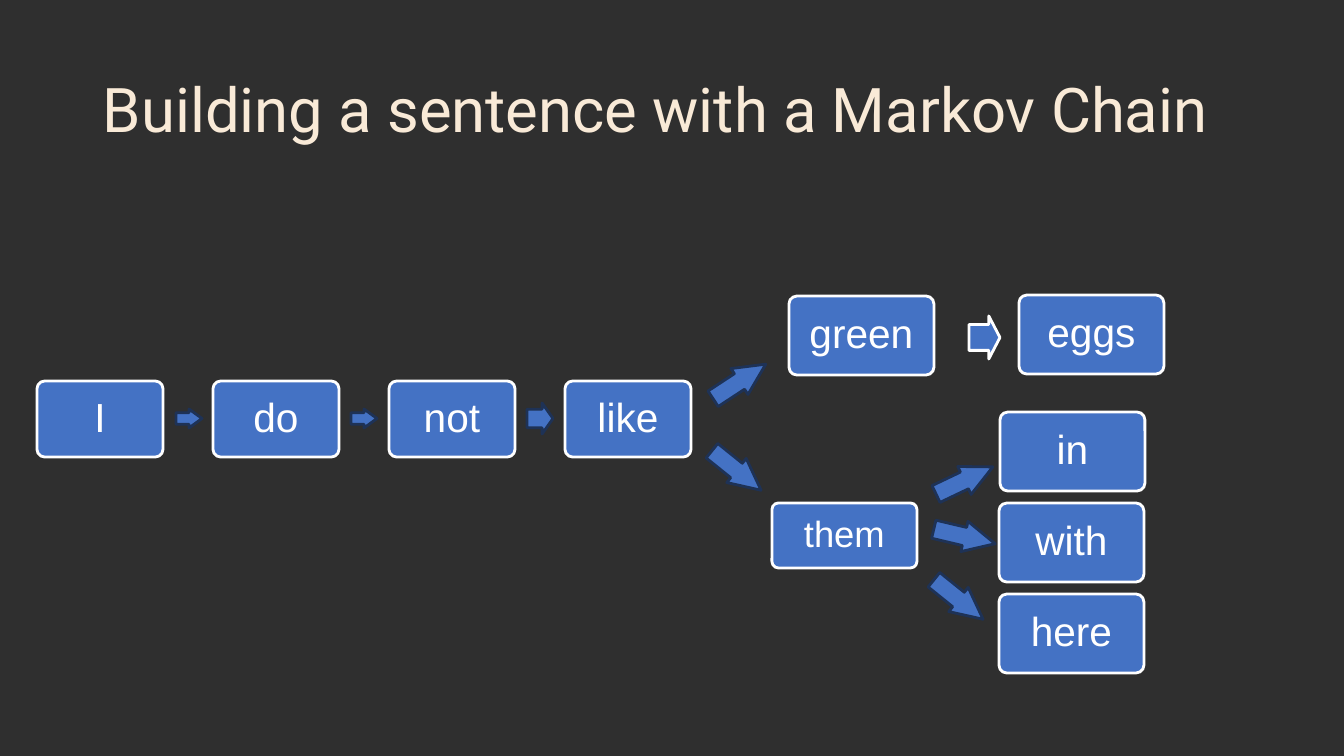
"""Build a slide showing a sentence growing word by word as a Markov chain."""
from pptx import Presentation
from pptx.dml.color import RGBColor
from pptx.enum.shapes import MSO_SHAPE
from pptx.enum.text import MSO_ANCHOR, PP_ALIGN
from pptx.util import Emu, Pt

DARK = RGBColor(0x2F, 0x2F, 0x2F)
CREAM = RGBColor(0xF9, 0xEA, 0xD7)
BLUE = RGBColor(0x44, 0x72, 0xC4)
NAVY = RGBColor(0x1E, 0x32, 0x56)
WHITE = RGBColor(0xFF, 0xFF, 0xFF)


def px(length):
    return Emu(round(length * 914400 / 100.8))


def write(shape, text, font_name, size, color, align, inset_x, inset_y):
    frame = shape.text_frame
    frame.word_wrap = True
    frame.vertical_anchor = MSO_ANCHOR.MIDDLE
    frame.margin_left = frame.margin_right = px(inset_x)
    frame.margin_top = frame.margin_bottom = px(inset_y)
    para = frame.paragraphs[0]
    para.alignment = align
    para.line_spacing = 0.9
    span = para.add_run()
    span.text = text
    span.font.name = font_name
    span.font.size = Pt(size)
    span.font.color.rgb = color


deck = Presentation()
deck.slide_width, deck.slide_height = px(1344), px(756)
page = deck.slides.add_slide(deck.slide_layouts[6])
page.background.fill.solid()
page.background.fill.fore_color.rgb = DARK

title = page.shapes.add_textbox(px(93), px(40), px(1159), px(146))
write(title, "Building a sentence with a Markov Chain", "Roboto", 44, CREAM,
      PP_ALIGN.LEFT, 10, 5)

words = [(word, 37 + 176 * step, 381, 126, 76, 29)
         for step, word in enumerate(["I", "do", "not", "like"])]
words += [
    ("them", 772, 503, 145, 65, 26),
    ("green", 789, 296, 145, 79, 29),
    ("eggs", 1019, 295, 145, 79, 29),
    ("in", 1000, 412, 145, 79, 29),
    ("with", 999, 503, 145, 79, 29),
    ("here", 999, 594, 145, 79, 29),
]
for word, left, top, width, height, size in words:
    box = page.shapes.add_shape(MSO_SHAPE.ROUNDED_RECTANGLE,
                                px(left), px(top), px(width), px(height))
    box.adjustments[0] = 0.1
    box.shadow.inherit = False
    box.fill.solid()
    box.fill.fore_color.rgb = BLUE
    box.line.color.rgb = WHITE
    box.line.width = Pt(2)
    write(box, word, "Arial", size, WHITE, PP_ALIGN.CENTER, 14, 14)

arrows = [
    (176, 409, 26, 19, 0, NAVY),
    (351, 409, 26, 19, 0, NAVY),
    (527, 403, 26, 31, 0, NAVY),
    (969, 316, 31, 43, 0, WHITE),
    (708, 366, 63, 31, 326.7, NAVY),
    (705, 455, 63, 31, 38.8, NAVY),
    (933, 465, 63, 31, 334.5, NAVY),
    (933, 521, 63, 31, 13.3, NAVY),
    (927, 584, 63, 31, 38.8, NAVY),
]
for left, top, width, height, angle, outline in arrows:
    arrow = page.shapes.add_shape(MSO_SHAPE.RIGHT_ARROW,
                                  px(left), px(top), px(width), px(height))
    arrow.adjustments[0] = 0.6
    arrow.adjustments[1] = width / 2 / height
    arrow.rotation = angle
    arrow.shadow.inherit = False
    arrow.fill.solid()
    arrow.fill.fore_color.rgb = BLUE
    arrow.line.color.rgb = outline
    arrow.line.width = Pt(2)

deck.save("out.pptx")
